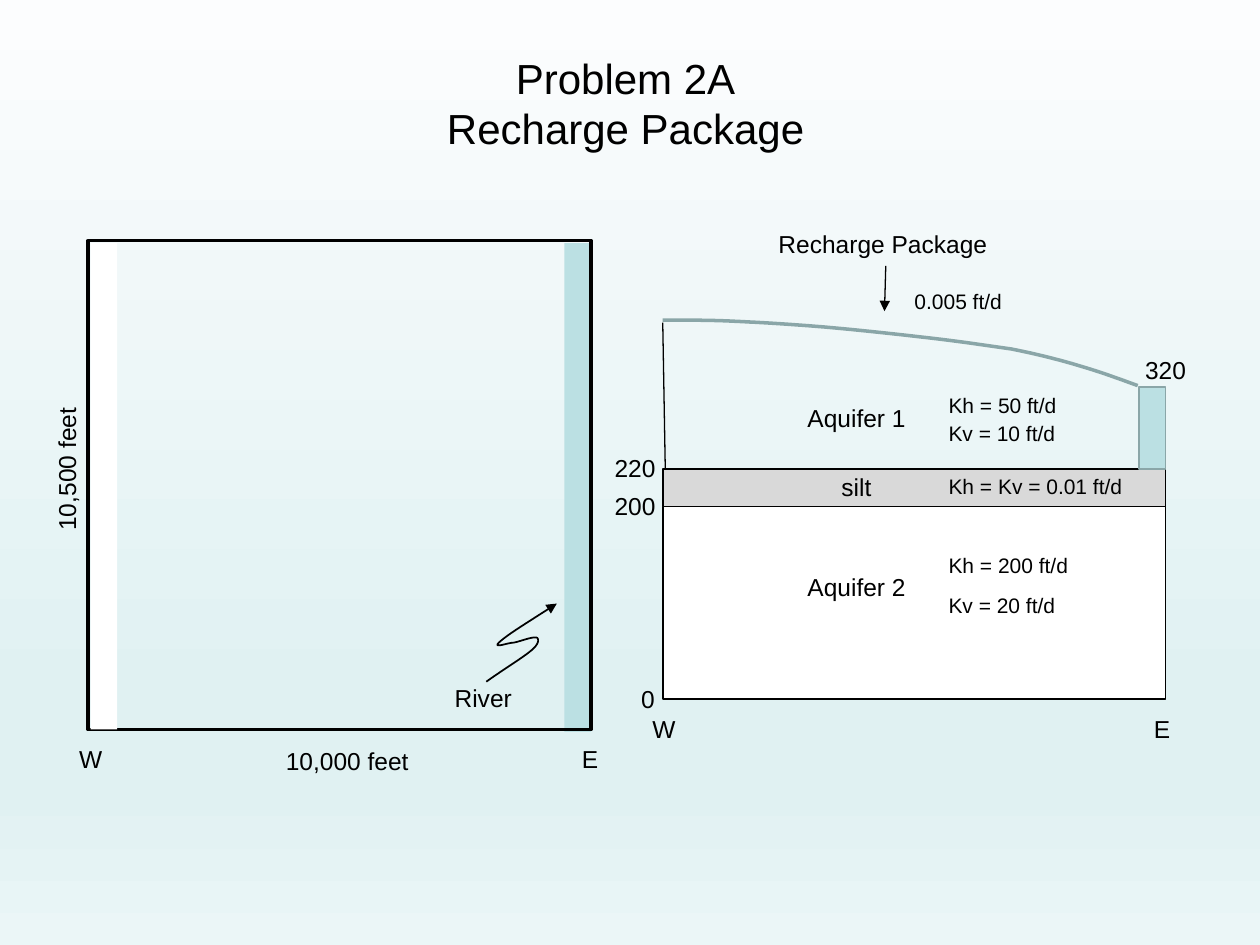
from lxml import etree
from pptx import Presentation
from pptx.dml.color import RGBColor
from pptx.enum.shapes import MSO_CONNECTOR, MSO_SHAPE
from pptx.enum.text import MSO_ANCHOR, MSO_AUTO_SIZE, PP_ALIGN
from pptx.oxml.ns import qn
from pptx.util import Inches, Pt

BLACK = RGBColor(0x00, 0x00, 0x00)
WHITE = RGBColor(0xFF, 0xFF, 0xFF)
WATER = RGBColor(0xBB, 0xE0, 0xE3)
WATER_EDGE = RGBColor(0x8A, 0xA6, 0xA8)
SILT = RGBColor(0xD9, 0xD9, 0xD9)
SKY = [(0, "FCFDFE"), (74, "E0F1F2"), (83, "E0F1F2"), (100, "EBF6F7")]
FONT = "Arial"
STRIP = 0.21


def paint_background(page):
    """Fill the page with a vertical gradient."""
    fill = page.background.fill
    fill.gradient()
    fill.gradient_angle = 270
    stops = next(page.element.iter(qn("a:gsLst")))
    for stop in list(stops):
        stops.remove(stop)
    for position, color in SKY:
        stop = etree.SubElement(stops, qn("a:gs"), pos=str(position * 1000))
        etree.SubElement(stop, qn("a:srgbClr"), val=color)


def add_span(para, text, size):
    """Add one run in the slide's font."""
    span = para.add_run()
    span.text = text
    span.font.name = FONT
    span.font.size = Pt(size)
    span.font.color.rgb = BLACK


def add_label(page, text, left, top, width, size=14, rotation=0):
    """Add a one-line label that does not wrap."""
    height = 0.34 if size == 14 else 0.3
    box = page.shapes.add_textbox(Inches(left), Inches(top), Inches(width), Inches(height))
    box.rotation = rotation
    box.text_frame.word_wrap = False
    box.text_frame.auto_size = MSO_AUTO_SIZE.SHAPE_TO_FIT_TEXT
    add_span(box.text_frame.paragraphs[0], text, size)


def add_block(page, left, top, width, height, fill=None, edge=None, weight=1):
    """Add a rectangle with an optional fill and outline."""
    block = page.shapes.add_shape(
        MSO_SHAPE.RECTANGLE, Inches(left), Inches(top), Inches(width), Inches(height))
    block.shadow.inherit = False
    if fill is None:
        block.fill.background()
    else:
        block.fill.solid()
        block.fill.fore_color.rgb = fill
    if edge is None:
        block.line.fill.background()
    else:
        block.line.color.rgb = edge
        block.line.width = Pt(weight)


def add_arrowhead(line):
    """Put a triangle at the end of a line."""
    etree.SubElement(line.line._get_or_add_ln(), qn("a:tailEnd"), type="triangle")


def add_line(page, start, end, arrow=False):
    """Add a thin straight line."""
    line = page.shapes.add_connector(
        MSO_CONNECTOR.STRAIGHT, *[Inches(value) for value in (*start, *end)])
    line.line.color.rgb = BLACK
    line.line.width = Pt(0.75)
    if arrow:
        add_arrowhead(line)
    etree.SubElement(line._element.spPr, qn("a:effectLst"))


def bezier_points(knots, steps=12):
    """Return points along joined cubic curves, after the first knot."""
    points = []
    for first in range(0, len(knots) - 1, 3):
        a, b, c, d = knots[first:first + 4]
        for step in range(1, steps + 1):
            t = step / steps
            u = 1 - t
            points.append(tuple(
                u**3 * a[i] + 3 * u * u * t * b[i] + 3 * u * t * t * c[i] + t**3 * d[i]
                for i in (0, 1)))
    return points


def add_curve(page, left, top, knots, color, weight, arrow=False):
    """Draw an open curve whose knots are offsets from left and top."""
    knots = [(Inches(left + x), Inches(top + y)) for x, y in knots]
    builder = page.shapes.build_freeform(*knots[0])
    builder.add_line_segments(bezier_points(knots), close=False)
    curve = builder.convert_to_shape()
    curve.shadow.inherit = False
    curve.fill.background()
    curve.line.color.rgb = color
    curve.line.width = Pt(weight)
    if arrow:
        add_arrowhead(curve)


def add_title(page, left, top, width, height):
    """Add the two-line centred title."""
    box = page.shapes.add_textbox(Inches(left), Inches(top), Inches(width), Inches(height))
    frame = box.text_frame
    frame.word_wrap = True
    frame.vertical_anchor = MSO_ANCHOR.MIDDLE
    para = frame.paragraphs[0]
    para.alignment = PP_ALIGN.CENTER
    add_span(para, "Problem 2A", 24)
    para.add_line_break()
    add_span(para, "Recharge Package", 24)


def add_plan(page, left, top, width, height):
    """Draw the map view with its river, west strip and dimensions."""
    add_block(page, left + width - STRIP, top + 0.02, STRIP, height, WATER)
    add_block(page, left, top, width, height, edge=BLACK, weight=2)
    add_block(page, left + 0.02, top + 0.02, STRIP, height - 0.02, WHITE)
    below = top + height + 0.07
    add_label(page, "River", left + 2.81, top + 3.46, 0.66)
    add_label(page, "W", left - 0.17, below, 0.39)
    add_label(page, "E", left + width - 0.17, below, 0.33)
    add_label(page, "10,000 feet", left + 1.47, below + 0.01, 1.18)
    add_label(page, "10,500 feet", left - 0.76, top + 1.64, 1.18, rotation=270)
    squiggle = [(0, 0.62), (0.14, 0.52), (0.29, 0.43), (0.36, 0.37), (0.42, 0.32),
                (0.42, 0.28), (0.4, 0.27), (0.37, 0.26), (0.27, 0.3), (0.22, 0.31),
                (0.17, 0.31), (0.05, 0.36), (0.1, 0.31), (0.16, 0.25), (0.36, 0.13),
                (0.56, 0)]
    add_curve(page, left + 3.16, top + 2.88, squiggle, BLACK, 1, arrow=True)


def add_section(page, left, top, width, height):
    """Draw the cross-section; top is the west end of the water table."""
    right, bottom = left + width, top + height
    silt_top, silt_bottom = top + 1.18, top + 1.48
    add_block(page, left, silt_bottom, width, bottom - silt_bottom, WHITE, BLACK)
    add_block(page, left, silt_top, width, silt_bottom - silt_top, SILT, BLACK)
    add_block(page, right - STRIP, silt_top - 0.65, STRIP, 0.65, WATER, WATER_EDGE)

    labels = [("0", -0.27, 2.84, 0.31), ("200", -0.48, 1.31, 0.53),
              ("220", -0.48, 1.01, 0.53), ("320", 3.73, 0.23, 0.53),
              ("W", -0.18, 3.08, 0.39), ("E", 3.8, 3.08, 0.33),
              ("Aquifer 1", 1.05, 0.61, 0.99), ("Aquifer 2", 1.05, 1.95, 0.99),
              ("silt", 1.32, 1.16, 0.44), ("Recharge Package", 0.82, -0.77, 1.87)]
    for text, x, y, label_width in labels:
        add_label(page, text, left + x, top + y, label_width)

    values = [("Kh = 50 ft/d", 2.17, 0.53, 1.07), ("Kv = 10 ft/d", 2.17, 0.75, 1.06),
              ("Kh = Kv = 0.01 ft/d", 2.17, 1.17, 1.6),
              ("Kh = 200 ft/d", 2.17, 1.8, 1.16), ("Kv = 20 ft/d", 2.17, 2.11, 1.06),
              ("0.005 ft/d", 1.9, -0.3, 0.9)]
    for text, x, y, label_width in values:
        add_label(page, text, left + x, top + y, label_width, size=12)

    add_line(page, (left + 0.02, silt_top), (left, top + 0.02))
    water_table = [(0, 0), (0.19, 0), (0.38, 0), (0.58, 0.01), (0.79, 0.02),
                   (0.96, 0.03), (1.22, 0.05), (1.47, 0.07), (1.84, 0.11),
                   (2.1, 0.14), (2.36, 0.17), (2.56, 0.2), (2.77, 0.23),
                   (2.97, 0.27), (3.17, 0.32), (3.33, 0.37), (3.5, 0.42),
                   (3.63, 0.47), (3.77, 0.52)]
    add_curve(page, left, top, water_table, WATER_EDGE, 2)
    add_line(page, (left + 1.77, top - 0.43), (left + 1.76, top - 0.07), arrow=True)


deck = Presentation()
deck.slide_width, deck.slide_height = Inches(10), Inches(7.5)
page = deck.slides.add_slide(deck.slide_layouts[6])
paint_background(page)
add_title(page, 0.48, 0.3, 8.97, 1.03)
add_plan(page, 0.7, 1.91, 3.99, 3.88)
add_section(page, 5.26, 2.54, 3.99, 3.01)
deck.save("out.pptx")
